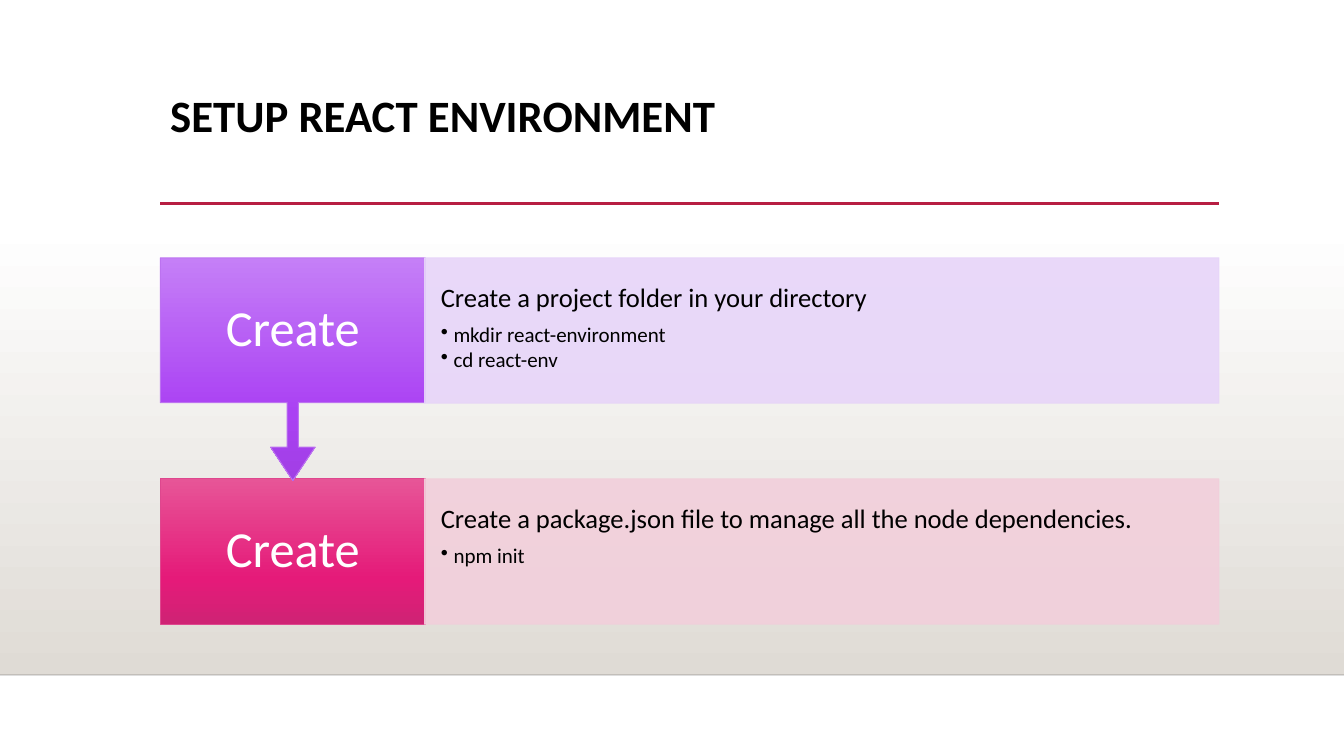
from copy import deepcopy
from lxml.etree import SubElement
from pptx import Presentation
from pptx.dml.color import RGBColor
from pptx.enum.shapes import MSO_CONNECTOR as Link, MSO_SHAPE as Shape
from pptx.enum.text import MSO_ANCHOR as Anchor, PP_ALIGN as Align
from pptx.oxml.ns import qn
from pptx.util import Cm, Pt

rgb = RGBColor.from_string
prs = Presentation()
prs.slide_width, prs.slide_height = Cm(33.87), Cm(19.05)
slide = prs.slides.add_slide(prs.slide_layouts[6])
shapes = slide.shapes


def paint(shape, stops, line=None):
    """Fill with one colour, or top to bottom with (position, colour) stops."""
    shape.shadow.inherit = False
    fill = shape.fill
    if isinstance(stops, str):
        fill.solid()
        fill.fore_color.rgb = rgb(stops)
    else:
        fill.gradient()
        fill.gradient_angle = 270
        items = shape._element.spPr.find(".//" + qn("a:gsLst"))
        for _ in stops[2:]:
            items.append(deepcopy(items[0]))
        for stop, (pos, color) in zip(fill.gradient_stops, stops):
            stop.position = pos
            stop.color.rgb = rgb(color)
    if line:
        shape.line.color.rgb = rgb(line)
        shape.line.width = Pt(0.75)
    else:
        shape.line.fill.background()


def write(par, text, size, color, bold=False):
    par.line_spacing = 0.9
    run = par.add_run()
    run.text = text
    font = run.font
    font.name, font.size, font.bold = "Calibri", Pt(size), bold
    font.color.rgb = rgb(color)


# Backdrop
floor = shapes.add_shape(Shape.RECTANGLE, 0, Cm(5.61), prs.slide_width, Cm(11.4))
paint(floor, [(0, "FFFFFF"), (1, "DFDBD5")])

# Rules: left, right, height, colour, width, opacity
rules = [
    (0, 33.87, 17.01, "000001", 1, 20),
    (4.04, 30.73, 5.13, "B71E42", 2.5, 100),
]
for left, right, top, color, width, alpha in rules:
    rule = shapes.add_connector(Link.STRAIGHT, Cm(left), Cm(top), Cm(right), Cm(top))
    rule.line.color.rgb = rgb(color)
    rule.line.width = Pt(width)
    tint = rule._element.spPr.find(".//" + qn("a:srgbClr"))
    SubElement(tint, qn("a:alpha"), val=str(alpha * 1000))
    SubElement(rule._element.spPr, qn("a:effectLst"))

# Title
title = shapes.add_textbox(Cm(4.04), Cm(2.24), Cm(26.67), Cm(2.92))
title.text_frame.word_wrap = True
write(title.text_frame.paragraphs[0], "SETUP REACT ENVIRONMENT", 32, "000000", True)

# Steps, the lower first so that the arrow lies on top of it
steps = [
    (12.07, Shape.RECTANGLE, 3.66,
     [(0, "E75597"), (0.69, "E51A79"), (1, "CF2374")], "DE478E", "F2CFDB",
     "Create a package.json file to manage all the node dependencies.",
     ["npm init"]),
    (6.5, Shape.DOWN_ARROW_CALLOUT, 5.61,
     [(0, "C57FF7"), (0.69, "AA41F3"), (1, "A13FE5")], "BC72F0", "E7D5F9",
     "Create a project folder in your directory",
     ["mkdir react-environment", "cd react-env"]),
]
for top, kind, height, stops, edge, pale, head, items in steps:
    label = shapes.add_shape(kind, Cm(4.04), Cm(top), Cm(6.68), Cm(height))
    for i, adj in enumerate([0.05, 0.1, 0.15, 0.65][:len(label.adjustments)]):
        label.adjustments[i] = adj
    paint(label, stops, edge)
    frame = label.text_frame
    frame.vertical_anchor = Anchor.MIDDLE
    par = frame.paragraphs[0]
    par.alignment = Align.CENTER
    write(par, "Create", 36, "FFFFFF")

    panel = shapes.add_shape(Shape.RECTANGLE, Cm(10.7), Cm(top), Cm(20.02), Cm(3.66))
    paint(panel, pale, pale)
    for tint in panel._element.spPr.iter(qn("a:srgbClr")):
        SubElement(tint, qn("a:alpha"), val="90000")
    frame = panel.text_frame
    frame.word_wrap = True
    frame.vertical_anchor = Anchor.TOP
    frame.margin_left = frame.margin_right = Cm(0.41)
    frame.margin_top = frame.margin_bottom = Cm(0.66)
    par = frame.paragraphs[0]
    par.alignment = Align.LEFT
    par.space_after = Pt(8)
    write(par, head, 19, "000000")
    for item in items:
        par = frame.add_paragraph()
        par.alignment = Align.LEFT
        par.level = 1
        par.space_after = Pt(2.25)
        write(par, item, 15, "000000")
        props = par._p.get_or_add_pPr()
        props.set("marL", str(Cm(0.32)))
        props.set("indent", str(-Cm(0.32)))
        SubElement(props, qn("a:buChar"), char="•")

prs.save("out.pptx")
